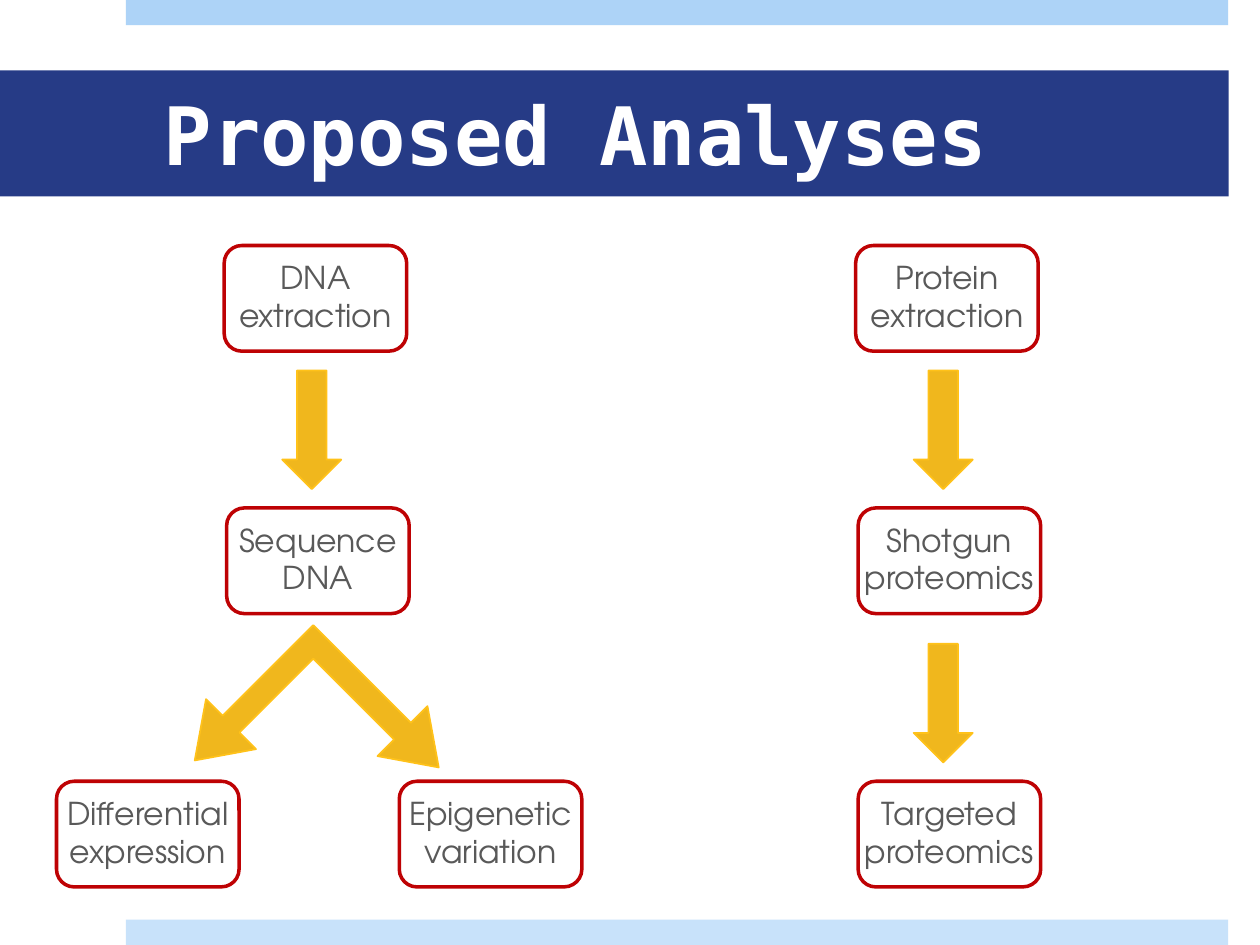
import pptx
import pptx.dml.color
import pptx.enum.shapes
import pptx.enum.text
import pptx.util

Cm = pptx.util.Cm
Pt = pptx.util.Pt
SHAPE = pptx.enum.shapes.MSO_SHAPE
ALIGN = pptx.enum.text.PP_ALIGN
ANCHOR = pptx.enum.text.MSO_ANCHOR

TITLE = "Proposed Analyses"
# Left, top, width, height in cm, then colour
BANDS = [
    (2.54, 0, 22.22, 0.51, "ADD3F7"),
    (2.54, 18.54, 22.22, 0.51, "C8E2FA"),
]
ROWS = {"extract": 4.95, "analyse": 10.24, "result": 15.75}
# Text, left edge in cm, row
STEPS = [
    ("DNA extraction", 4.52, "extract"),
    ("Protein extraction", 17.25, "extract"),
    ("Sequence DNA", 4.57, "analyse"),
    ("Shotgun proteomics", 17.3, "analyse"),
    ("Differential expression", 1.14, "result"),
    ("Epigenetic variation", 8.05, "result"),
    ("Targeted proteomics", 17.3, "result"),
]
STEP_WIDTH, STEP_HEIGHT = 3.68, 2.13
LABEL_WIDTH, LABEL_HEIGHT, LABEL_DROP = 4.95, 1.8, 0.13
DOWN_ARROWS = [(5.69, 7.47), (18.42, 7.47), (18.42, 12.98)]
ARROW_WIDTH, ARROW_HEIGHT = 1.19, 2.39
BRANCH = (4.24, 12.85, 4.29, 4.09)
BRANCH_ADJUSTMENTS = (0.117, 0.174, 0.253)


def colour(value):
    return pptx.dml.color.RGBColor.from_string(value)


def write(frame, text, *, size, font, ink, bold=False, align=ALIGN.LEFT):
    frame.word_wrap = True
    para = frame.paragraphs[0]
    para.alignment = align
    span = para.add_run()
    span.text = text
    span.font.size = Pt(size)
    span.font.name = font
    span.font.bold = bold
    span.font.color.rgb = colour(ink)


def add_shape(shapes, kind, left, top, width, height, fill=None, line=None, weight=1):
    shape = shapes.add_shape(kind, Cm(left), Cm(top), Cm(width), Cm(height))
    shape.shadow.inherit = False
    if fill:
        shape.fill.solid()
        shape.fill.fore_color.rgb = colour(fill)
    else:
        shape.fill.background()
    if line:
        shape.line.color.rgb = colour(line)
        shape.line.width = Pt(weight)
    else:
        shape.line.fill.background()
    return shape


def add_title(page):
    title = page.shapes.title
    title.left, title.top, title.width, title.height = Cm(0), Cm(1.42), Cm(24.77), Cm(2.54)
    title.fill.solid()
    title.fill.fore_color.rgb = colour("263B86")
    frame = title.text_frame
    frame.auto_size = pptx.enum.text.MSO_AUTO_SIZE.NONE
    frame.vertical_anchor = ANCHOR.MIDDLE
    frame.margin_left, frame.margin_right = Cm(3.3), Cm(0.76)
    write(frame, TITLE, size=46, font="DejaVu Sans Mono", ink="FFFFFF", bold=True)


def add_step(page, text, left, top):
    """Group a centred label with the rounded outline around it."""
    group = page.shapes.add_group_shape()
    label_left = left + (STEP_WIDTH - LABEL_WIDTH) / 2
    box = group.shapes.add_textbox(
        Cm(label_left), Cm(top + LABEL_DROP), Cm(LABEL_WIDTH), Cm(LABEL_HEIGHT))
    write(box.text_frame, text, size=18, font="TeX Gyre Adventor",
          ink="595959", align=ALIGN.CENTER)
    add_shape(group.shapes, SHAPE.ROUNDED_RECTANGLE, left, top,
              STEP_WIDTH, STEP_HEIGHT, line="BE0204", weight=2)


def add_arrow(page, kind, left, top, width, height):
    return add_shape(page.shapes, kind, left, top, width, height,
                     fill="F0B71D", line="FFC21A")


def main():
    deck = pptx.Presentation()
    deck.slide_width, deck.slide_height = Cm(25.4), Cm(19.05)
    page = deck.slides.add_slide(deck.slide_layouts.get_by_name("Title Only"))
    add_title(page)
    for *place, fill in BANDS:
        add_shape(page.shapes, SHAPE.RECTANGLE, *place, fill=fill)
    for text, left, row in STEPS:
        add_step(page, text, left, ROWS[row])
    for left, top in DOWN_ARROWS:
        add_arrow(page, SHAPE.DOWN_ARROW, left, top, ARROW_WIDTH, ARROW_HEIGHT)
    branch = add_arrow(page, SHAPE.LEFT_UP_ARROW, *BRANCH)
    branch.rotation = 225
    for index, value in enumerate(BRANCH_ADJUSTMENTS):
        branch.adjustments[index] = value
    deck.save("out.pptx")


if __name__ == "__main__":
    main()
